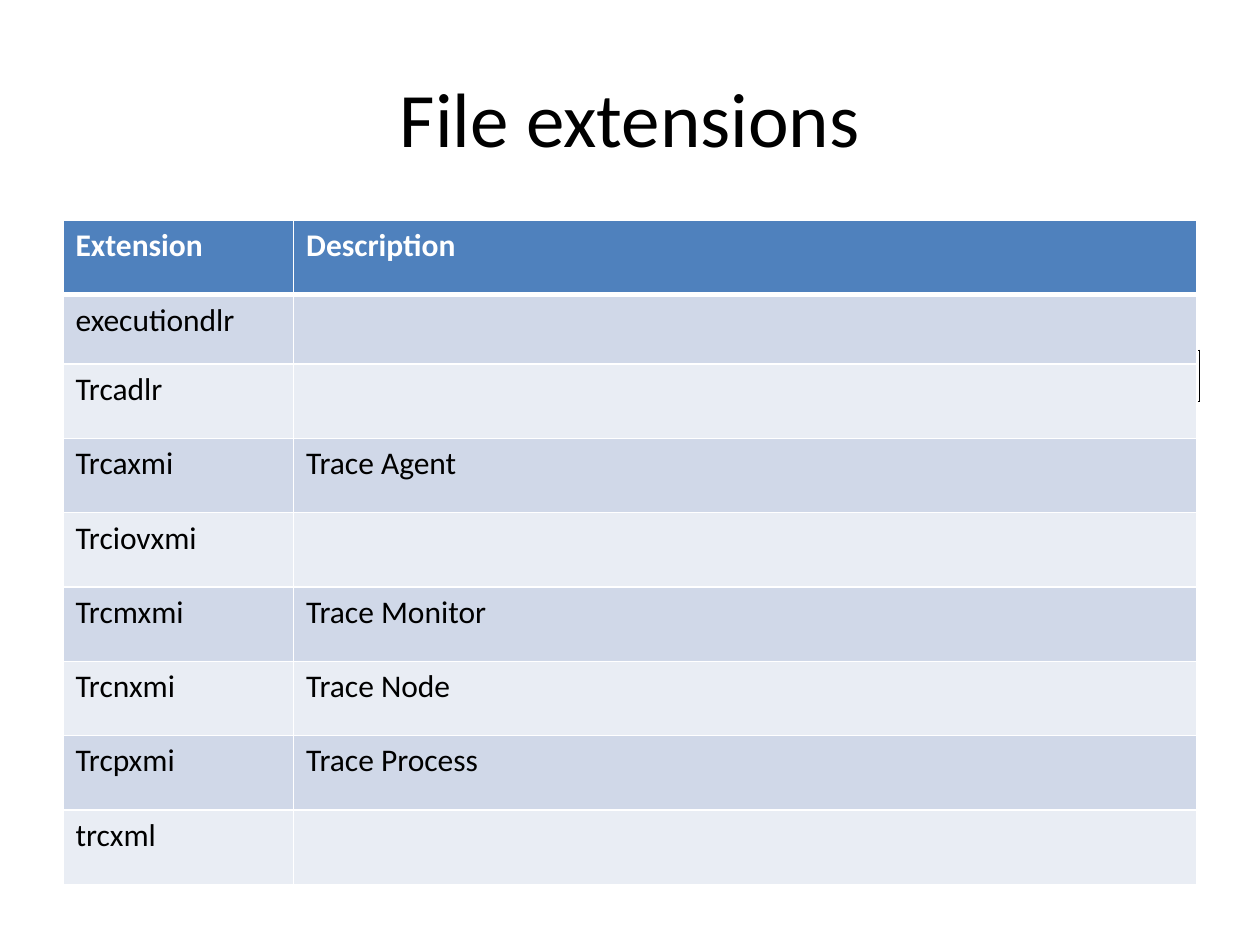
from dataclasses import dataclass

from lxml.etree import SubElement
from pptx import Presentation
from pptx.dml.color import RGBColor
from pptx.enum.text import MSO_ANCHOR, PP_ALIGN
from pptx.oxml.ns import qn
from pptx.util import Inches, Pt

FONT = "Calibri"
BLACK = RGBColor(0x00, 0x00, 0x00)
WHITE = RGBColor(0xFF, 0xFF, 0xFF)
HEADER_BLUE = RGBColor(0x4F, 0x81, 0xBD)
BANDS = (RGBColor(0xD0, 0xD8, 0xE8), RGBColor(0xE9, 0xED, 0xF4))

COLUMN_WIDTHS = (1.83, 7.17)
HEADER_HEIGHT = 0.59
FIRST_ROW_HEIGHT = 0.55
ROW_HEIGHT = 0.59


@dataclass(frozen=True)
class FileExtension:
    name: str
    description: str = ""


EXTENSIONS = (
    FileExtension("executiondlr"),
    FileExtension("Trcadlr"),
    FileExtension("Trcaxmi", "Trace Agent"),
    FileExtension("Trciovxmi"),
    FileExtension("Trcmxmi", "Trace Monitor"),
    FileExtension("Trcnxmi", "Trace Node"),
    FileExtension("Trcpxmi", "Trace Process"),
    FileExtension("trcxml"),
)


def write_text(frame, text: str, *, size: float = 18, color: RGBColor = BLACK,
               bold: bool = False, align=PP_ALIGN.LEFT) -> None:
    para = frame.paragraphs[0]
    para.alignment = align
    if not text:
        para.font.size = Pt(size)
        return
    span = para.add_run()
    span.text = text
    span.font.name = FONT
    span.font.size = Pt(size)
    span.font.bold = bold
    span.font.color.rgb = color


def set_borders(cell, color: RGBColor, *, top: float = 1, bottom: float = 1) -> None:
    """Draw all four cell edges; call before setting the cell's fill."""
    properties = cell._tc.get_or_add_tcPr()
    for side, width in (("L", 1), ("R", 1), ("T", top), ("B", bottom)):
        line = SubElement(properties, qn(f"a:ln{side}"), w=str(Pt(width)))
        fill = SubElement(line, qn("a:solidFill"))
        SubElement(fill, qn("a:srgbClr"), val=str(color))


def add_title(page, text: str) -> None:
    title = page.shapes.title
    title.left, title.top = Inches(0.5), Inches(0.3)
    title.width, title.height = Inches(9), Inches(1.25)
    title.text_frame.vertical_anchor = MSO_ANCHOR.MIDDLE
    write_text(title.text_frame, text, size=44, align=PP_ALIGN.CENTER)


def add_outlined_cell(page) -> None:
    frame = page.shapes.add_table(1, 1, Inches(0.51), Inches(2.78),
                                  Inches(9.01), Inches(0.4))
    cell = frame.table.cell(0, 0)
    set_borders(cell, BLACK)
    cell.fill.background()


def add_extension_table(page) -> None:
    heights = [HEADER_HEIGHT, FIRST_ROW_HEIGHT] + [ROW_HEIGHT] * (len(EXTENSIONS) - 1)
    table = page.shapes.add_table(
        len(heights), len(COLUMN_WIDTHS), Inches(0.5), Inches(1.75),
        Inches(sum(COLUMN_WIDTHS)), Inches(sum(heights))).table
    for column, width in zip(table.columns, COLUMN_WIDTHS):
        column.width = Inches(width)
    for row, height in zip(table.rows, heights):
        row.height = Inches(height)

    rows = [FileExtension("Extension", "Description"), *EXTENSIONS]
    for index, entry in enumerate(rows):
        header = index == 0
        for column, text in enumerate((entry.name, entry.description)):
            cell = table.cell(index, column)
            set_borders(cell, WHITE, top=3 if index == 1 else 1,
                        bottom=3 if header else 1)
            cell.fill.solid()
            cell.fill.fore_color.rgb = HEADER_BLUE if header else BANDS[(index - 1) % 2]
            write_text(cell.text_frame, text, bold=header,
                       color=WHITE if header else BLACK)


def main() -> None:
    deck = Presentation()
    deck.slide_width, deck.slide_height = Inches(10), Inches(7.5)
    page = deck.slides.add_slide(deck.slide_layouts.get_by_name("Title Only"))
    add_title(page, "File extensions")
    add_outlined_cell(page)
    add_extension_table(page)
    deck.save("out.pptx")


if __name__ == "__main__":
    main()
